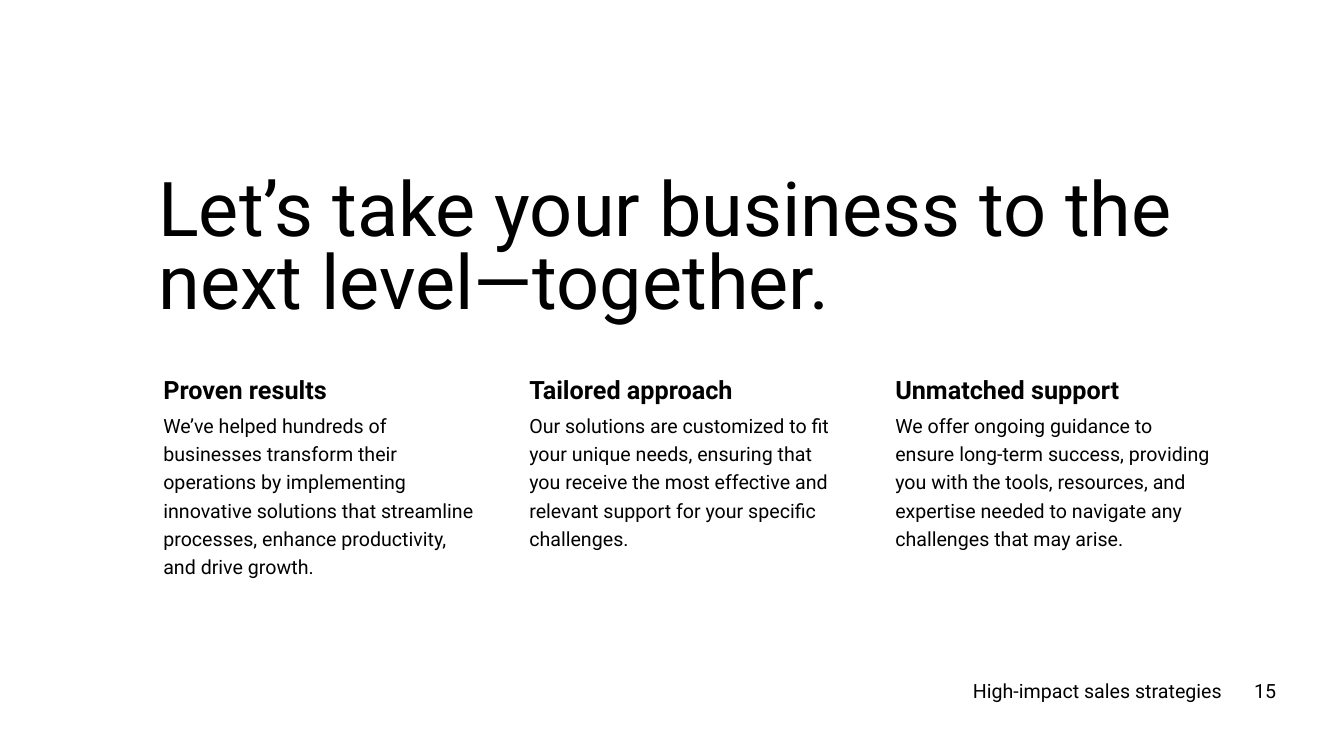
from pptx import Presentation
from pptx.dml.color import RGBColor
from pptx.enum.text import MSO_ANCHOR, MSO_AUTO_SIZE, PP_ALIGN
from pptx.util import Inches, Pt

FONT = "Roboto"
BLACK = "000000"
WHITE = "FFFFFF"

POINTS = [
    ("Proven results",
     "We’ve helped hundreds of businesses transform their operations by "
     "implementing innovative solutions that streamline processes, enhance "
     "productivity, and drive growth."),
    ("Tailored approach",
     "Our solutions are customized to fit your unique needs, ensuring that "
     "you receive the most effective and relevant support for your specific "
     "challenges."),
    ("Unmatched support",
     "We offer ongoing guidance to ensure long-term success, providing you "
     "with the tools, resources, and expertise needed to navigate any "
     "challenges that may arise."),
]


def color(code):
    return RGBColor.from_string(code)


def write(shape, text, size, bold=False, lead=1.0, anchor=MSO_ANCHOR.TOP,
          pads=(0.1, 0.05, 0.1, 0.05)):
    """Fill a shape with one styled paragraph; pads are left, top, right, bottom."""
    frame = shape.text_frame
    frame.text = text
    frame.word_wrap = True
    frame.auto_size = MSO_AUTO_SIZE.NONE
    frame.vertical_anchor = anchor
    (frame.margin_left, frame.margin_top,
     frame.margin_right, frame.margin_bottom) = map(Inches, pads)
    para = frame.paragraphs[0]
    para.alignment = PP_ALIGN.LEFT
    para.line_spacing = lead
    para.space_before = Pt(0)
    font = para.runs[0].font
    font.name, font.size, font.bold = FONT, Pt(size), bold
    font.color.rgb = color(BLACK)


def add_title(slide, text):
    title = slide.shapes.title
    title.left, title.top = Inches(1.47), Inches(2.02)
    title.width, title.height = Inches(10.88), Inches(1.24)
    write(title, text, 54, lead=0.8, anchor=MSO_ANCHOR.BOTTOM)


def add_text(slide, box, text, size, **style):
    shape = slide.shapes.add_textbox(*map(Inches, box))
    write(shape, text, size, **style)


def add_point(slide, left, head, body):
    add_text(slide, (left, 3.68, 3.3, 0.36), head, 18, bold=True,
             pads=(0.15, 0.03, 0.03, 0.03))
    add_text(slide, (left, 4.04, 3.3, 2.58), body, 14, lead=1.2,
             pads=(0.15, 0.02, 0.02, 0.02))


def main():
    deck = Presentation()
    deck.slide_width, deck.slide_height = Inches(13.33), Inches(7.5)
    slide = deck.slides.add_slide(deck.slide_layouts[5])
    fill = slide.background.fill
    fill.solid()
    fill.fore_color.rgb = color(WHITE)

    # Title
    add_title(slide, "Let’s take your business to the next level—together.")

    # Three columns
    for col, (head, body) in enumerate(POINTS):
        add_point(slide, 1.47 + 3.63 * col, head, body)

    # Footer and page number
    add_text(slide, (9.55, 6.69, 2.68, 0.4), "High-impact sales strategies", 14)
    add_text(slide, (12.34, 6.69, 0.47, 0.4), "15", 14)

    deck.save("out.pptx")


if __name__ == "__main__":
    main()
